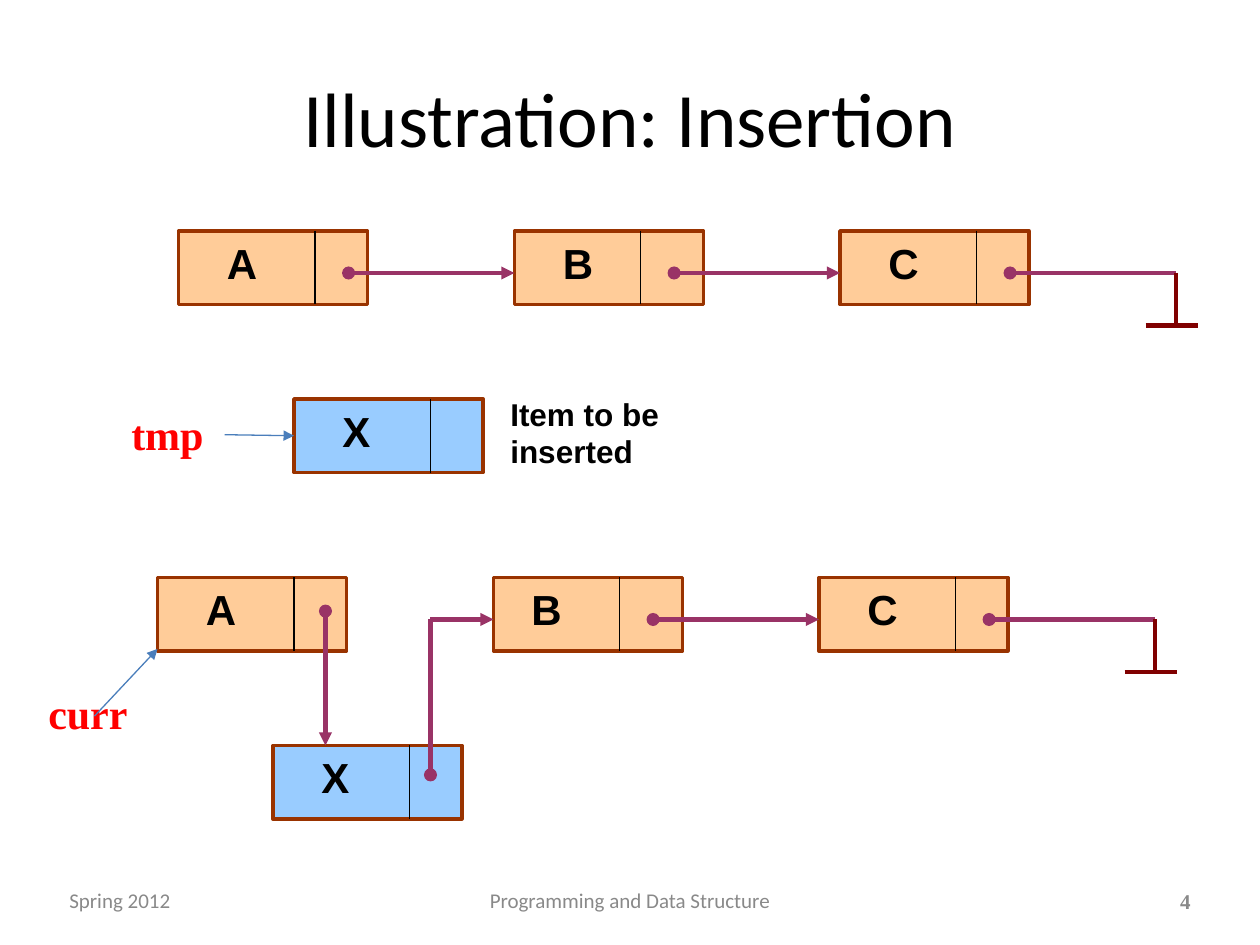
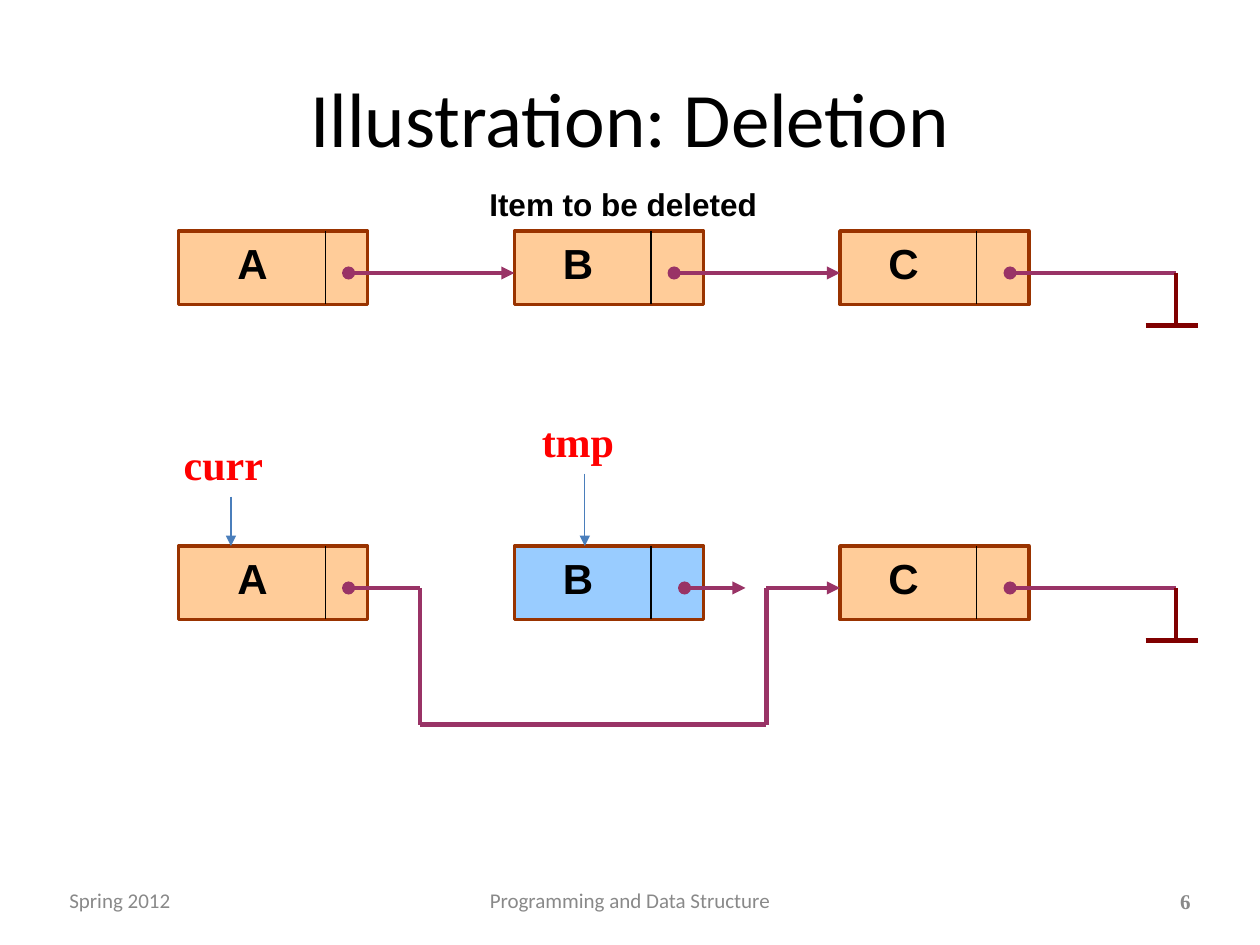
from dataclasses import dataclass
from itertools import pairwise
from typing import NamedTuple

from lxml import etree
from pptx import Presentation
from pptx import util as u
from pptx.dml.color import RGBColor
from pptx.enum import shapes, text
from pptx.oxml import ns


# Theme: colours, fonts and type sizes
@dataclass(frozen=True)
class Theme:
    ink: str = "000000"
    grey: str = "898989"
    red: str = "FF0000"
    peach: str = "FFCC99"
    sky: str = "99CCFF"
    edge: str = "993300"
    plum: str = "993366"
    ground: str = "800000"
    blue: str = "4A7EBB"
    sans: str = "Calibri"
    bold: str = "Arial"
    serif: str = "Times New Roman"
    title: float = 44
    label: float = 24
    note: float = 18
    foot: float = 12
    border: float = 2
    thick: float = 2.5
    thin: float = 0.75


T = Theme()

# Grid: 120 columns by 90 rows, each cell a twelfth of an inch
WIDE, HIGH = u.Inches(10), u.Inches(7.5)
COLS, ROWS = 120, 90
NODE_W, NODE_H = 18, 7
MID = 4        # pointer row within a node
DOT = 16.2     # pointer column within a node
DROP = 32      # from a last node to its ground sign
LEFT, MIDDLE, RIGHT = text.PP_ALIGN.LEFT, text.PP_ALIGN.CENTER, text.PP_ALIGN.RIGHT


class Point(NamedTuple):
    col: float
    row: float


class Box(NamedTuple):
    col: float
    row: float
    cols: float
    rows: float


@dataclass(frozen=True)
class Style:
    size: float
    font: str
    color: str = T.ink
    bold: bool = True
    align: text.PP_ALIGN = LEFT
    before: float = 0
    wrap: bool = True
    center: bool = False


TITLE = Style(T.title, T.sans, bold=False, align=MIDDLE, center=True)
LABEL = Style(T.label, T.bold, before=14)
NOTE = Style(T.note, T.bold, before=10)
NAME = Style(T.label, T.serif, T.red, wrap=False)


@dataclass(frozen=True)
class Node:
    name: str
    col: float
    row: float
    split: float = 13   # divider column within the node
    inset: float = 4    # label column within the node
    fill: str = T.peach

    @property
    def port(self) -> Point:
        return Point(self.col, self.row + MID)

    def dot(self, shift: float = DOT) -> Point:
        return Point(self.col + shift, self.row + MID)


def x(col: float) -> int:
    return round(WIDE * col / COLS)


def y(row: float) -> int:
    return round(HIGH * row / ROWS)


def frame(box: Box) -> tuple[int, int, int, int]:
    return x(box.col), y(box.row), x(box.cols), y(box.rows)


def rgb(code: str) -> RGBColor:
    return RGBColor.from_string(code)


# Text
def write(shape, words: str, style: Style) -> None:
    body = shape.text_frame
    body.text = words
    body.word_wrap = style.wrap
    body.vertical_anchor = text.MSO_ANCHOR.MIDDLE if style.center else text.MSO_ANCHOR.TOP
    body.margin_left = body.margin_right = u.Inches(0.05)
    body.margin_top = body.margin_bottom = u.Inches(0.05)
    para = body.paragraphs[0]
    para.alignment = style.align
    para.space_before = u.Pt(style.before)
    font = para.runs[0].font
    font.size, font.name, font.bold = u.Pt(style.size), style.font, style.bold
    font.color.rgb = rgb(style.color)


def put(slide, words: str, box: Box, style: Style) -> None:
    write(slide.shapes.add_textbox(*frame(box)), words, style)


# Lines
def line(slide, start: Point, end: Point, color: str = T.plum,
         width: float = T.thick, head: bool = False, tail: bool = False) -> None:
    link = slide.shapes.add_connector(
        shapes.MSO_CONNECTOR.STRAIGHT, x(start.col), y(start.row), x(end.col), y(end.row))
    link.line.color.rgb = rgb(color)
    link.line.width = u.Pt(width)
    stroke = link.line._get_or_add_ln()
    for shown, tag, kind in ((head, "a:headEnd", "oval"), (tail, "a:tailEnd", "triangle")):
        if shown:
            etree.SubElement(stroke, ns.qn(tag), type=kind)
    etree.SubElement(link._element.spPr, ns.qn("a:effectLst"))


def route(slide, *stops: Point, tail: bool = True) -> None:
    """Draw a bent pointer with a dot at its start."""
    legs = list(pairwise(stops))
    for i, (start, end) in enumerate(legs):
        line(slide, start, end, head=i == 0, tail=tail and i == len(legs) - 1)


# List parts
def draw(slide, node: Node) -> None:
    rect = slide.shapes.add_shape(
        shapes.MSO_SHAPE.RECTANGLE, *frame(Box(node.col, node.row, NODE_W, NODE_H)))
    rect.shadow.inherit = False
    rect.fill.solid()
    rect.fill.fore_color.rgb = rgb(node.fill)
    rect.line.color.rgb = rgb(T.edge)
    rect.line.width = u.Pt(T.border)
    split = node.col + node.split
    line(slide, Point(split, node.row), Point(split, node.row + NODE_H), T.ink, T.thin)
    put(slide, node.name, Box(node.col + node.inset, node.row, 8, 5.8), LABEL)


def finish(slide, node: Node) -> None:
    """Link the last node to the ground sign."""
    top = Point(node.col + DROP, node.row + MID)
    base = top.row + 5
    route(slide, node.dot(), top, tail=False)
    line(slide, top, Point(top.col, base), T.ground)
    line(slide, Point(top.col - 2.9, base), Point(top.col + 2.1, base), T.ground)


def chain(slide, a: Node, b: Node, c: Node) -> None:
    for node in (a, b, c):
        draw(slide, node)
    route(slide, a.dot(), b.port)
    route(slide, b.dot(DOT - 1), c.port)
    finish(slide, c)


def name(slide, words: str, box: Box, start: Point, end: Point) -> None:
    put(slide, words, box, NAME)
    line(slide, start, end, T.blue, T.thin, tail=True)


# Shared page: title and footer
def page(deck, title: str, number: int):
    slide = deck.slides.add_slide(deck.slide_layouts[5])
    head = slide.shapes.title
    head.left, head.top, head.width, head.height = frame(Box(6, 3.6, 108, 15))
    write(head, title, TITLE)
    foot = Style(T.foot, T.sans, T.grey, bold=False, center=True)
    put(slide, "Spring 2012", Box(6, 84, 28, 3.5), foot)
    put(slide, "Programming and Data Structure", Box(41, 84, 38, 3.5),
        Style(T.foot, T.sans, T.grey, bold=False, align=MIDDLE, center=True))
    put(slide, str(number), Box(111.6, 84, 2.4, 3.6),
        Style(T.foot, T.serif, T.grey, align=RIGHT, wrap=False, center=True))
    return slide


def insert(deck) -> None:
    slide = page(deck, "Illustration: Insertion", 4)
    # Before
    chain(slide, Node("A", 17, 22), Node("B", 49, 22, split=12), Node("C", 80, 22))
    draw(slide, Node("X", 28, 38, fill=T.sky))
    put(slide, "Item to be inserted", Box(48, 37, 22, 8.2), NOTE)
    name(slide, "tmp", Box(11.9, 38.3, 8.3, 5.5), Point(21.4, 41.4), Point(28, 41.5))
    # After
    a, b, c = Node("A", 15, 55), Node("B", 47, 55, split=12, inset=3), Node("C", 78, 55)
    new = Node("X", 26, 71, fill=T.sky)
    for node in (a, b, c, new):
        draw(slide, node)
    route(slide, Point(31, 58.2), Point(31, new.row))
    route(slide, Point(41, 73.8), Point(41, b.port.row), b.port)
    route(slide, b.dot(DOT - 1), c.port)
    finish(slide, c)
    name(slide, "curr", Box(4, 64.9, 8.9, 5.5), Point(9, 68.2), Point(15, 61.8))


def delete(deck) -> None:
    slide = page(deck, "Illustration: Deletion", 6)
    # Before
    chain(slide, Node("A", 17, 22, split=14, inset=5), Node("B", 49, 22), Node("C", 80, 22))
    put(slide, "Item to be deleted", Box(46, 17, 33, 4.6), NOTE)
    # After
    a = Node("A", 17, 52, split=14, inset=5)
    b, c = Node("B", 49, 52, fill=T.sky), Node("C", 80, 52)
    for node in (a, b, c):
        draw(slide, node)
    mid, low = a.port.row, 69
    route(slide, a.dot(), Point(40, mid), Point(40, low), Point(73, low), Point(73, mid), c.port)
    route(slide, b.dot(), Point(71, mid))
    finish(slide, c)
    name(slide, "curr", Box(16.9, 41.2, 8.9, 5.5), Point(22, 47.3), Point(22, 52))
    name(slide, "tmp", Box(51, 39, 8.3, 5.5), Point(55.7, 45.1), Point(55.7, 52))


def main() -> None:
    deck = Presentation()
    deck.slide_width, deck.slide_height = WIDE, HIGH
    insert(deck)
    delete(deck)
    deck.save("out.pptx")


main()
